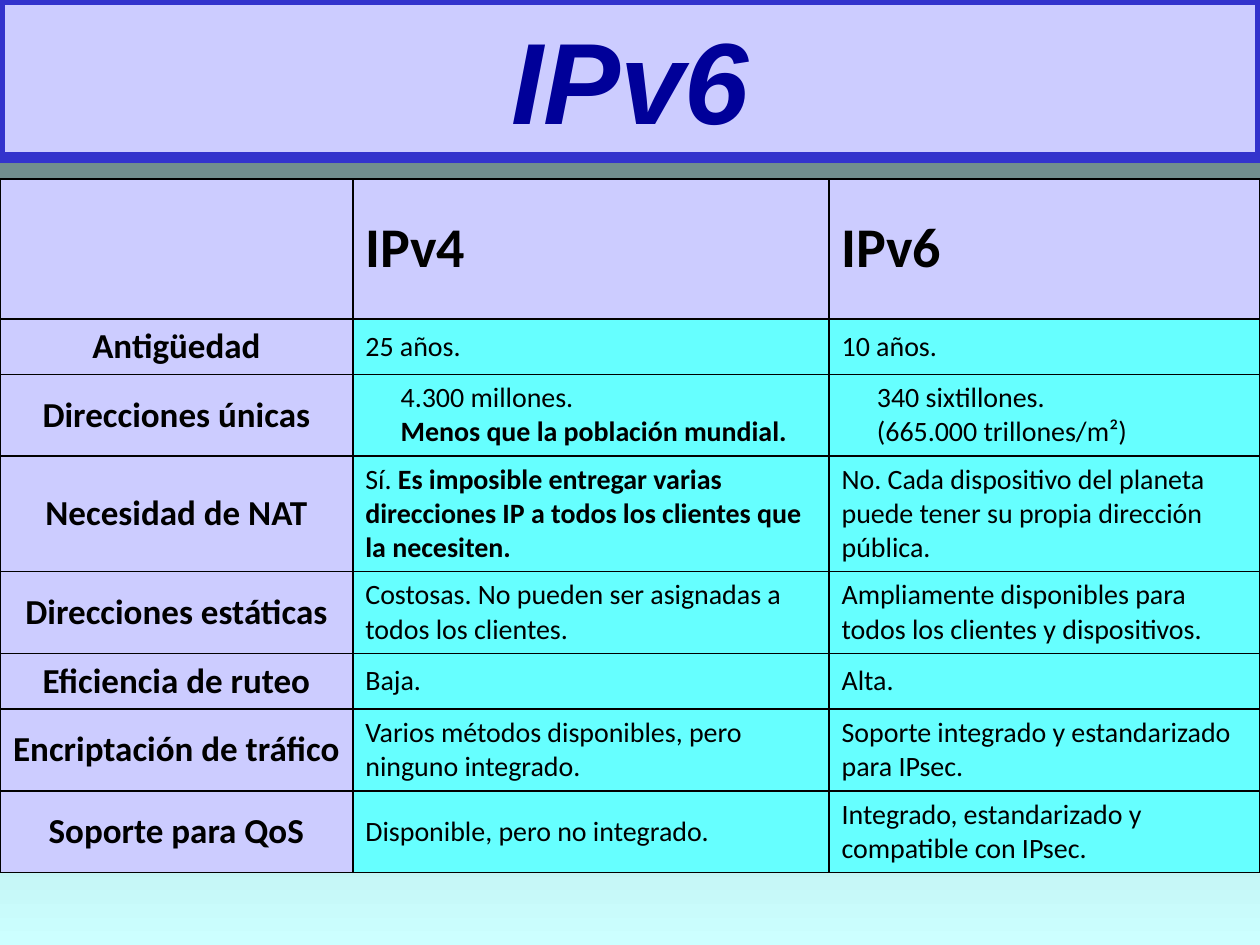
import pptx
import pptx.util
import pptx.dml.color
import pptx.enum.shapes
import pptx.enum.text
import pptx.oxml.ns
from lxml import etree

Inches = pptx.util.Inches
ALIGN = pptx.enum.text.PP_ALIGN
MIDDLE = pptx.enum.text.MSO_ANCHOR.MIDDLE

COLORS = {
    "sky_top": "5E7676", "sky_bottom": "CCFFFF",
    "label": "CCCCFF", "detail": "66FFFF",
    "frame": "3333CC", "title": "000099", "ink": "000000",
}

# Content: a cell is a list of paragraphs, a paragraph a list of (text, bold) runs
TITLE = "IPv6"
HEADERS = ["", "IPv4", "IPv6"]
COMPARISON = [
    ("Antigüedad", [[("25 años.", False)]], [[("10 años.", False)]]),
    ("Direcciones únicas",
     [[("4.300 millones.", False)], [("Menos que la población mundial.", True)]],
     [[("340 sixtillones.", False)], [("(665.000 trillones/m²)", False)]]),
    ("Necesidad de NAT",
     [[("Sí. ", False),
       ("Es imposible entregar varias direcciones IP a todos los clientes que la necesiten.", True)]],
     [[("No. Cada dispositivo del planeta puede tener su propia dirección pública.", False)]]),
    ("Direcciones estáticas",
     [[("Costosas. No pueden ser asignadas a todos los clientes.", False)]],
     [[("Ampliamente disponibles para todos los clientes y dispositivos.", False)]]),
    ("Eficiencia de ruteo", [[("Baja.", False)]], [[("Alta.", False)]]),
    ("Encriptación de tráfico",
     [[("Varios métodos disponibles, pero ninguno integrado.", False)]],
     [[("Soporte integrado y estandarizado para IPsec.", False)]]),
    ("Soporte para QoS",
     [[("Disponible, pero no integrado.", False)]],
     [[("Integrado, estandarizado y compatible con IPsec.", False)]]),
]
COLUMN_WIDTHS = [2.8, 3.78, 3.42]
ROW_HEIGHTS = [1.11, 0.44, 0.65, 0.91, 0.65, 0.44, 0.65, 0.65]
TABLE_TOP = 1.42
FIRST_LINE_INDENT = 0.28


def rgb(name):
    return pptx.dml.color.RGBColor.from_string(COLORS[name])


def add_run(paragraph, text, size, font, color, bold, italic=False):
    run = paragraph.add_run()
    run.text = text
    run.font.size = pptx.util.Pt(size)
    run.font.name = font
    run.font.color.rgb = rgb(color)
    run.font.bold = bold
    run.font.italic = italic


def add_borders(cell):
    qn = pptx.oxml.ns.qn
    properties = cell._tc.get_or_add_tcPr()
    for side in ("lnL", "lnR", "lnT", "lnB"):
        line = etree.SubElement(properties, qn(f"a:{side}"), w=str(pptx.util.Pt(1)))
        solid = etree.SubElement(line, qn("a:solidFill"))
        etree.SubElement(solid, qn("a:srgbClr"), val=COLORS["ink"])


def fill_cell(cell, paragraphs, size, fill, align=ALIGN.LEFT):
    add_borders(cell)
    cell.fill.solid()
    cell.fill.fore_color.rgb = rgb(fill)
    cell.vertical_anchor = MIDDLE
    frame = cell.text_frame
    for i, runs in enumerate(paragraphs):
        paragraph = frame.add_paragraph() if i else frame.paragraphs[0]
        paragraph.alignment = align
        if len(paragraphs) > 1:
            properties = paragraph._p.get_or_add_pPr()
            properties.set("marL", "0")
            properties.set("indent", str(Inches(FIRST_LINE_INDENT)))
        for text, bold in runs:
            add_run(paragraph, text, size, "Calibri", "ink", bold)


deck = pptx.Presentation()
deck.slide_width, deck.slide_height = Inches(10), Inches(7.5)
slide = deck.slides.add_slide(deck.slide_layouts[6])

# Background gradient, dark at the top
sky = slide.background.fill
sky.gradient()
sky.gradient_angle = 270
for stop, position, name in zip(sky.gradient_stops, (0, 1), ("sky_top", "sky_bottom")):
    stop.position = position
    stop.color.rgb = rgb(name)

# Title bar
banner = slide.shapes.add_shape(
    pptx.enum.shapes.MSO_SHAPE.RECTANGLE, 0, 0, Inches(10), Inches(1.25))
banner.shadow.inherit = False
banner.fill.solid()
banner.fill.fore_color.rgb = rgb("label")
banner.line.color.rgb = rgb("frame")
banner.line.width = pptx.util.Pt(6)
banner.text_frame.vertical_anchor = MIDDLE
heading = banner.text_frame.paragraphs[0]
heading.alignment = ALIGN.CENTER
add_run(heading, TITLE, 66, "Arial", "title", True, True)

# Comparison table
table = slide.shapes.add_table(
    len(ROW_HEIGHTS), len(COLUMN_WIDTHS), 0, Inches(TABLE_TOP),
    Inches(sum(COLUMN_WIDTHS)), Inches(sum(ROW_HEIGHTS))).table
table.first_row = table.horz_banding = False
for column, width in zip(table.columns, COLUMN_WIDTHS):
    column.width = Inches(width)
for row, height in zip(table.rows, ROW_HEIGHTS):
    row.height = Inches(height)

for c, header in enumerate(HEADERS):
    fill_cell(table.cell(0, c), [[(header, True)]] if header else [], 32, "label")
for r, (feature, *details) in enumerate(COMPARISON, start=1):
    fill_cell(table.cell(r, 0), [[(feature, True)]], 20, "label", ALIGN.CENTER)
    for c, detail in enumerate(details, start=1):
        fill_cell(table.cell(r, c), detail, 16, "detail")

deck.save("out.pptx")
